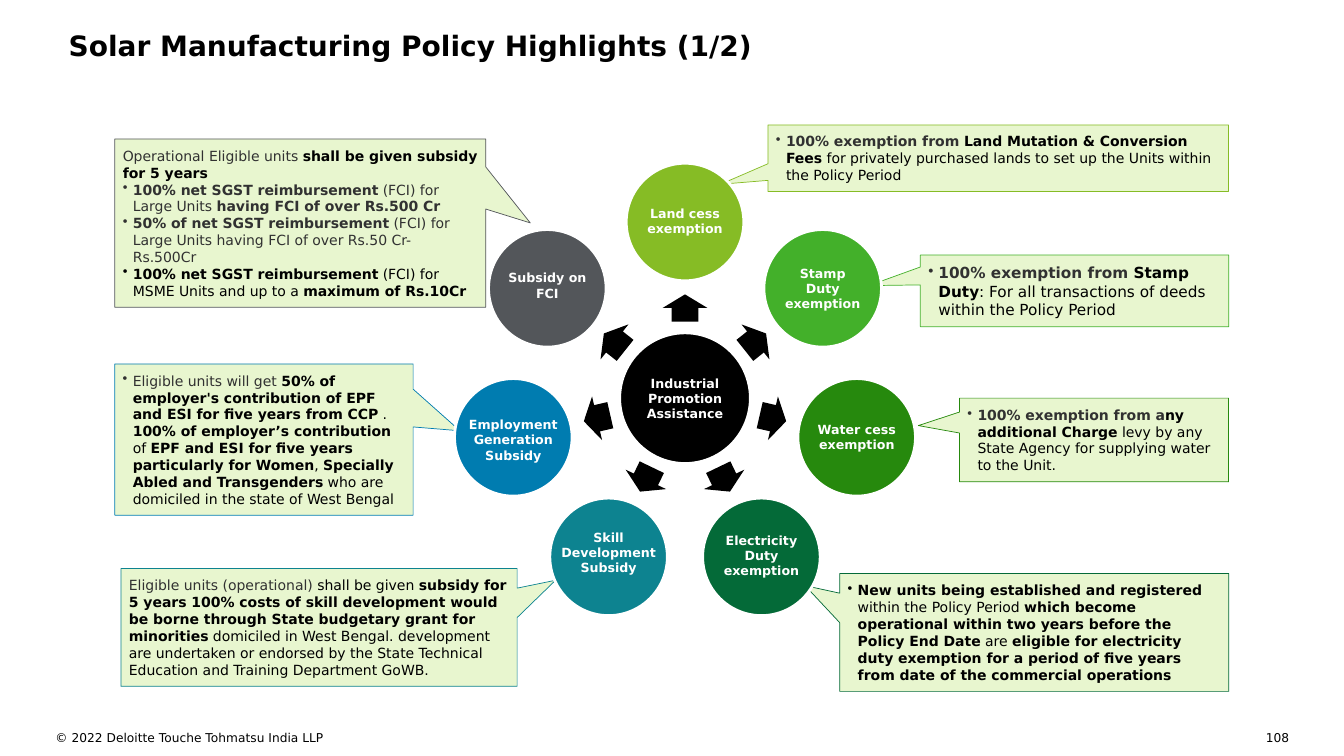
from collections import namedtuple
from math import cos, pi, sin

from lxml import etree
from pptx import Presentation
from pptx.dml.color import RGBColor
from pptx.enum.shapes import MSO_SHAPE
from pptx.enum.text import MSO_ANCHOR, MSO_AUTO_SIZE, PP_ALIGN
from pptx.oxml.ns import qn
from pptx.util import Pt

OVAL, ARROW = MSO_SHAPE.OVAL, MSO_SHAPE.UP_ARROW
CALLOUT = MSO_SHAPE.RECTANGULAR_CALLOUT
TOP, MIDDLE = MSO_ANCHOR.TOP, MSO_ANCHOR.MIDDLE
LEFT, CENTER, RIGHT = PP_ALIGN.LEFT, PP_ALIGN.CENTER, PP_ALIGN.RIGHT
FIXED = MSO_AUTO_SIZE.NONE

BLACK, WHITE, GREY, PALE_GREEN = "000000", "FFFFFF", "313131", "E8F6CF"
# Run styles: colour and bold
PLAIN, BOLD = (BLACK, False), (BLACK, True)
SOFT, SOFT_BOLD = (GREY, False), (GREY, True)
INVERSE = (WHITE, True)

HUB_X, HUB_Y, HUB_RADIUS = 489.3, 284.4, 46.7
ORBIT, BENEFIT_RADIUS = 125.8, 42
ARROW_ORBIT, ARROW_WIDTH, ARROW_LENGTH = 64.4, 32, 19.4
LABEL_LINE = 10.8

# label_shift: how far the label sits below the centre of its circle
# notes: paragraphs as (bulleted, runs), a run being (text, style)
Benefit = namedtuple(
    "Benefit", "label lines label_width label_shift colour box tip size notes")

BENEFITS = [
    Benefit("Land cess exemption", 2, 55, -0.7, "86BC25",
            (548.6, 89.3, 329, 47.5), (-0.603, 0.392), 10, [
        (True, [("100% exemption from ", SOFT_BOLD),
                ("Land Mutation & Conversion Fees", BOLD),
                (" for privately purchased lands to set up the Units within"
                 " the Policy Period", PLAIN)])]),
    Benefit("Stamp Duty exemption", 3, 55, 0, "43B02A",
            (657.4, 182.2, 220.3, 51.1), (-0.667, -0.073), 10.9, [
        (True, [("100% exemption from ", SOFT_BOLD),
                ("Stamp Duty", BOLD),
                (": For all transactions of deeds within the Policy Period",
                 PLAIN)])]),
    Benefit("Water cess exemption", 2, 57, 0, "26890D",
            (685.4, 284.4, 192.2, 59.8), (-0.653, -0.172), 10, [
        (True, [("100% exemption from a", SOFT_BOLD),
                ("ny additional Charge", BOLD),
                (" levy by any State Agency for supplying water to the Unit.",
                 PLAIN)])]),
    Benefit("Electricity Duty exemption", 3, 63.4, -1, "046A38",
            (599.8, 409.7, 277.9, 84.2), (-0.589, -0.397), 10, [
        (True, [("New units being established and registered", BOLD),
                (" within the Policy Period ", PLAIN),
                ("which become operational within two years before the"
                 " Policy End Date", BOLD),
                (" are ", PLAIN),
                ("eligible for electricity duty exemption for a period of"
                 " five years from date of the commercial operations",
                 BOLD)])]),
    Benefit("Skill Development Subsidy", 3, 69, -3.2, "0D8390",
            (86.4, 406.1, 283, 84.2), (0.597, -0.4), 10, [
        (False, [("Eligible units (operational) ", SOFT),
                 ("shall be given ", PLAIN),
                 ("subsidy for 5 years 100% costs of skill development would"
                  " be borne through State budgetary grant for minorities",
                  BOLD),
                 (" domiciled in West Bengal. development are undertaken or"
                  " endorsed by the State Technical Education and Training"
                  " Department GoWB.", PLAIN)])]),
    Benefit("Employment Generation Subsidy", 3, 67.7, 1.8, "007CB0",
            (82, 260, 213.1, 108), (0.657, -0.058), 10, [
        (True, [("Eligible units will get ", SOFT),
                ("50% of employer's contribution of EPF and ESI for five"
                 " years from CCP", BOLD),
                (" . ", PLAIN),
                ("100% of employer’s contribution", BOLD),
                (" of ", PLAIN),
                ("EPF and ESI for five years particularly for Women", BOLD),
                (", ", PLAIN),
                ("Specially Abled and Transgenders", BOLD),
                (" who are domiciled in the state of West Bengal", PLAIN)])]),
    Benefit("Subsidy on FCI", 2, 62, -2, "53565A",
            (82, 99.3, 265, 120.2), (0.62, -0.001), 10, [
        (False, [("Operational Eligible units ", SOFT),
                 ("shall be given subsidy for 5 years", BOLD)]),
        (True, [("100% net SGST reimbursement", SOFT_BOLD),
                (" (FCI) for Large Units ", SOFT),
                ("having FCI of over Rs.500 Cr", SOFT_BOLD)]),
        (True, [("50% of net SGST reimbursement", SOFT_BOLD),
                (" (FCI) for Large Units having FCI of over Rs.50 Cr-"
                 " Rs.500Cr", SOFT)]),
        (True, [("100% net SGST reimbursement", BOLD),
                (" (FCI) for MSME Units and up to a ", PLAIN),
                ("maximum of Rs.10Cr", BOLD)])]),
]


def rgb(colour):
    return RGBColor.from_string(colour)


def on_orbit(angle, radius):
    """Point at a clockwise angle from the top, around the hub."""
    return HUB_X + radius * sin(angle), HUB_Y - radius * cos(angle)


class PolicySlide:
    font = "DejaVu Sans"
    indent = 7.2

    def __init__(self, presentation):
        self.slide = presentation.slides.add_slide(presentation.slide_layouts[5])

    def fill_text(self, frame, paragraphs, size, align=LEFT, anchor=TOP, inset=0):
        frame.word_wrap = True
        frame.auto_size = FIXED
        frame.vertical_anchor = anchor
        frame.margin_left = frame.margin_right = Pt(inset)
        frame.margin_top = frame.margin_bottom = Pt(inset)
        for number, (bulleted, runs) in enumerate(paragraphs):
            paragraph = frame.add_paragraph() if number else frame.paragraphs[0]
            if bulleted:
                self.bullet(paragraph)
            paragraph.alignment = align
            for text, (colour, bold) in runs:
                run = paragraph.add_run()
                run.text = text
                run.font.name = self.font
                run.font.size = Pt(size)
                run.font.bold = bold
                run.font.color.rgb = rgb(colour)

    def bullet(self, paragraph):
        properties = paragraph._p.get_or_add_pPr()
        properties.set("marL", str(Pt(self.indent)))
        properties.set("indent", str(-Pt(self.indent)))
        etree.SubElement(properties, qn("a:buChar")).set("char", "•")

    def title(self, text, left, top, width, height):
        title = self.slide.shapes.title
        title.left, title.top = Pt(left), Pt(top)
        title.width, title.height = Pt(width), Pt(height)
        self.fill_text(title.text_frame, [(False, [(text, BOLD)])], 20, inset=3.6)
        title.text_frame.margin_left = Pt(7.2)

    def text(self, text, box, size, style=PLAIN, align=LEFT):
        frame = self.slide.shapes.add_textbox(*map(Pt, box)).text_frame
        self.fill_text(frame, [(False, [(text, style)])], size, align)

    def label(self, text, x, y, width, lines):
        height = lines * LABEL_LINE
        self.text(text, (x - width / 2, y - height / 2, width, height),
                  9, INVERSE, CENTER)

    def shape(self, kind, box, fill, line=None, line_width=0):
        shape = self.slide.shapes.add_shape(kind, *map(Pt, box))
        shape.shadow.inherit = False
        shape.fill.solid()
        shape.fill.fore_color.rgb = rgb(fill)
        if line:
            shape.line.color.rgb = rgb(line)
            shape.line.width = Pt(line_width)
        else:
            shape.line.fill.background()
        return shape

    def circle(self, x, y, radius, fill):
        box = (x - radius, y - radius, 2 * radius, 2 * radius)
        self.shape(OVAL, box, fill, WHITE, 2)

    def arrow(self, x, y, rotation):
        box = (x - ARROW_WIDTH / 2, y - ARROW_LENGTH / 2, ARROW_WIDTH, ARROW_LENGTH)
        arrow = self.shape(ARROW, box, BLACK)
        arrow.adjustments[0], arrow.adjustments[1] = 0.6, 0.5
        arrow.rotation = rotation

    def callout(self, benefit):
        callout = self.shape(CALLOUT, benefit.box, PALE_GREEN, benefit.colour, 0.5)
        callout.adjustments[0], callout.adjustments[1] = benefit.tip
        self.fill_text(callout.text_frame, benefit.notes, benefit.size,
                       anchor=MIDDLE, inset=5.7)


def main():
    presentation = Presentation()
    presentation.slide_width, presentation.slide_height = Pt(960), Pt(540)
    page = PolicySlide(presentation)

    page.title("Solar Manufacturing Policy Highlights (1/2)", 41.8, 16.6, 759.6, 31.7)
    page.text("© 2022 Deloitte Touche Tohmatsu India LLP", (39.6, 522, 422, 15.8), 8.7)
    page.text("108", (896.4, 522, 24.5, 10), 8.7, align=RIGHT)

    for benefit in BENEFITS:
        page.callout(benefit)

    page.circle(HUB_X, HUB_Y, HUB_RADIUS, BLACK)
    page.label("Industrial Promotion Assistance", HUB_X, HUB_Y, 95.8, 3)
    for number, benefit in enumerate(BENEFITS):
        turn = number / len(BENEFITS)
        angle = 2 * pi * turn
        page.arrow(*on_orbit(angle, ARROW_ORBIT), 360 * turn)
        x, y = on_orbit(angle, ORBIT)
        page.circle(x, y, BENEFIT_RADIUS, benefit.colour)
        page.label(benefit.label, x, y + benefit.label_shift,
                   benefit.label_width, benefit.lines)

    presentation.save("out.pptx")


if __name__ == "__main__":
    main()
